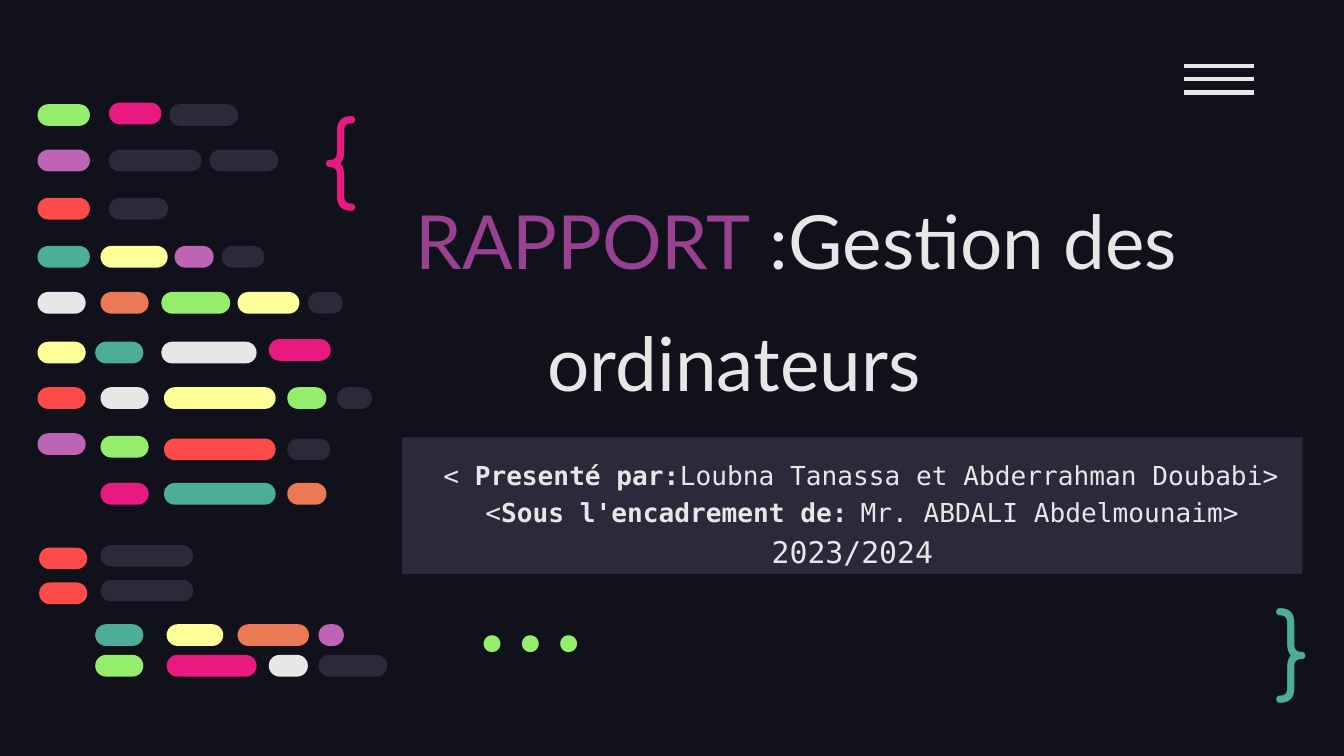
from lxml.etree import SubElement
from pptx import Presentation
from pptx.dml.color import RGBColor
from pptx.enum.shapes import MSO_CONNECTOR, MSO_SHAPE
from pptx.enum.text import MSO_ANCHOR, MSO_AUTO_SIZE, PP_ALIGN
from pptx.oxml.ns import qn
from pptx.util import Cm, Pt

COLOURS = {
    "night": "10111A",
    "slate": "2C293A",
    "white": "E7E7E7",
    "purple": "984190",
    "violet": "BD64B5",
    "pink": "E81A81",
    "red": "FD4A4A",
    "orange": "EC7955",
    "yellow": "FFFF99",
    "green": "94EE6B",
    "teal": "4CAE97",
}

PILL_HEIGHT = 0.41
CODE_ROWS = [
    (0, [(1.35, 0.99, "pink")]),
    (0.03, [(0, 0.99, "green"), (2.49, 1.3, "slate")]),
    (0.89, [(0, 0.99, "violet"), (1.35, 1.75, "slate"), (3.25, 1.3, "slate")]),
    (1.8, [(0, 0.99, "red"), (1.35, 1.12, "slate")]),
    (2.71, [(0, 0.99, "teal"), (1.19, 1.27, "yellow"), (2.59, 0.74, "violet"),
            (3.48, 0.81, "slate")]),
    (3.58, [(0, 0.91, "white"), (1.19, 0.91, "orange"), (2.34, 1.3, "green"),
            (3.78, 1.17, "yellow"), (5.11, 0.66, "slate")]),
    (4.47, [(4.37, 1.17, "pink")]),
    (4.52, [(0, 0.91, "yellow"), (1.09, 0.91, "teal"), (2.34, 1.8, "white")]),
    (5.38, [(0, 0.91, "red"), (1.19, 0.91, "white"), (2.39, 2.11, "yellow"),
            (4.72, 0.74, "green"), (5.66, 0.66, "slate")]),
    (6.25, [(0, 0.91, "violet")]),
    (6.3, [(1.19, 0.91, "green")]),
    (6.35, [(2.39, 2.11, "red"), (4.72, 0.81, "slate")]),
    (7.19, [(1.19, 0.91, "pink"), (2.39, 2.11, "teal"), (4.72, 0.74, "orange")]),
    (8.36, [(1.19, 1.75, "slate")]),
    (8.41, [(0.03, 0.91, "red")]),
    (9.02, [(1.19, 1.75, "slate")]),
    (9.07, [(0.03, 0.91, "red")]),
    (9.86, [(1.09, 0.91, "teal"), (2.44, 1.07, "yellow"), (3.78, 1.35, "orange"),
            (5.31, 0.48, "violet")]),
    (10.44, [(1.09, 0.91, "green"), (2.44, 1.7, "pink"), (4.37, 0.74, "white"),
             (5.31, 1.3, "slate")]),
]

CREDITS = [
    [(" ", 16, False), ("< ", 14, False), ("Presenté par:", 14, True),
     ("Loubna Tanassa et Abderrahman Doubabi>", 14, False)],
    [("<", 14, False), ("Sous l'encadrement de:", 14, True), (" ", 11, False),
     ("Mr. ABDALI Abdelmounaim>", 14, False)],
    [("2023/2024", 16, False)],
]


def colour(name):
    return RGBColor.from_string(COLOURS[name])


def set_frame(frame, anchor):
    frame.word_wrap = True
    frame.auto_size = MSO_AUTO_SIZE.NONE
    frame.vertical_anchor = anchor
    frame.margin_left = frame.margin_right = Cm(0.25)
    frame.margin_top = frame.margin_bottom = Cm(0.25)


def set_font(font, name, size, tint):
    font.name = name
    font.size = Pt(size)
    font.color.rgb = colour(tint)


def set_indent(para, left, first):
    properties = para._p.get_or_add_pPr()
    properties.set("marL", str(Cm(left)))
    properties.set("indent", str(Cm(first)))


def add_title(page, left, top, width, height):
    title = page.shapes.title
    title.left, title.top = Cm(left), Cm(top)
    title.width, title.height = Cm(width), Cm(height)
    frame = title.text_frame
    set_frame(frame, MSO_ANCHOR.BOTTOM)
    frame.margin_bottom = Cm(2.57)
    para = frame.paragraphs[0]
    para.alignment = PP_ALIGN.LEFT
    para.line_spacing = Pt(65.6)
    set_indent(para, 2.5, -2.5)
    for text, tint in (("RAPPORT", "purple"), (" :Gestion des ordinateurs", "white")):
        span = para.add_run()
        span.text = text
        set_font(span.font, "Lato", 40, tint)


def add_credits(page, left, top, width, height):
    box = page.shapes.add_textbox(Cm(left), Cm(top), Cm(width), Cm(height))
    box.fill.solid()
    box.fill.fore_color.rgb = colour("slate")
    frame = box.text_frame
    set_frame(frame, MSO_ANCHOR.TOP)
    for index, spans in enumerate(CREDITS):
        para = frame.add_paragraph() if index else frame.paragraphs[0]
        para.alignment = PP_ALIGN.CENTER
        para.line_spacing = 1.15
        for text, size, bold in spans:
            span = para.add_run()
            span.text = text
            span.font.bold = bold
            set_font(span.font, "DejaVu Sans Mono", size, "white")
    set_indent(frame.paragraphs[1], 1.27, -0.89)


def add_symbol(page, text, left, top, width, height, font, tint, anchor, align):
    box = page.shapes.add_textbox(Cm(left), Cm(top), Cm(width), Cm(height))
    set_frame(box.text_frame, anchor)
    para = box.text_frame.paragraphs[0]
    para.text = text
    para.alignment = align
    set_font(para.font, font, 50, tint)


def add_menu(page, left, top, width, gap):
    for index in range(3):
        y = Cm(top + index * gap)
        bar = page.shapes.add_connector(
            MSO_CONNECTOR.STRAIGHT, Cm(left), y, Cm(left + width), y)
        bar.line.color.rgb = colour("white")
        bar.line.width = Pt(2.25)
        SubElement(bar._element.spPr, qn("a:effectLst"))


def add_code(page, left, top):
    for y, pills in CODE_ROWS:
        for x, width, tint in pills:
            pill = page.shapes.add_shape(
                MSO_SHAPE.ROUNDED_RECTANGLE,
                Cm(left + x), Cm(top + y), Cm(width), Cm(PILL_HEIGHT))
            pill.adjustments[0] = 0.5
            pill.shadow.inherit = False
            pill.fill.solid()
            pill.fill.fore_color.rgb = colour(tint)
            pill.line.fill.background()


def main():
    deck = Presentation()
    deck.slide_width, deck.slide_height = Cm(25.4), Cm(14.29)
    page = deck.slides.add_slide(deck.slide_layouts[5])
    page.background.fill.solid()
    page.background.fill.fore_color.rgb = colour("night")
    add_title(page, 7.6, 2.34, 16.1, 7.92)
    add_credits(page, 7.6, 8.27, 17.02, 2.58)
    add_symbol(page, "{", 5.82, 1.57, 1.96, 2.41, "Comfortaa", "pink",
               MSO_ANCHOR.TOP, PP_ALIGN.LEFT)
    add_symbol(page, "}", 23.85, 11.13, 1.45, 2.11, "Comfortaa", "teal",
               MSO_ANCHOR.MIDDLE, PP_ALIGN.LEFT)
    add_symbol(page, "...", 7.9, 11.4, 4.01, 1.52, "Fira Code", "green",
               MSO_ANCHOR.BOTTOM, PP_ALIGN.RIGHT)
    add_menu(page, 22.38, 1.25, 1.32, 0.25)
    add_code(page, 0.71, 1.94)
    deck.save("out.pptx")


if __name__ == "__main__":
    main()
